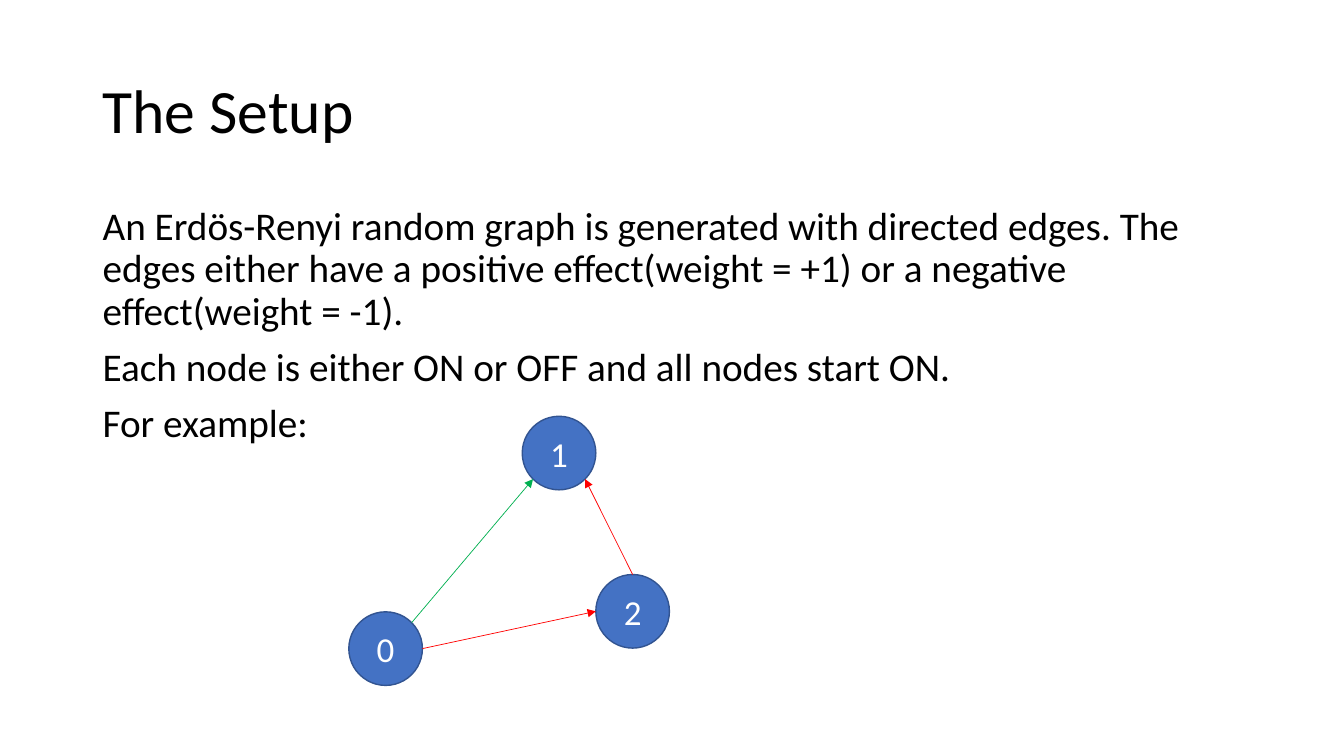
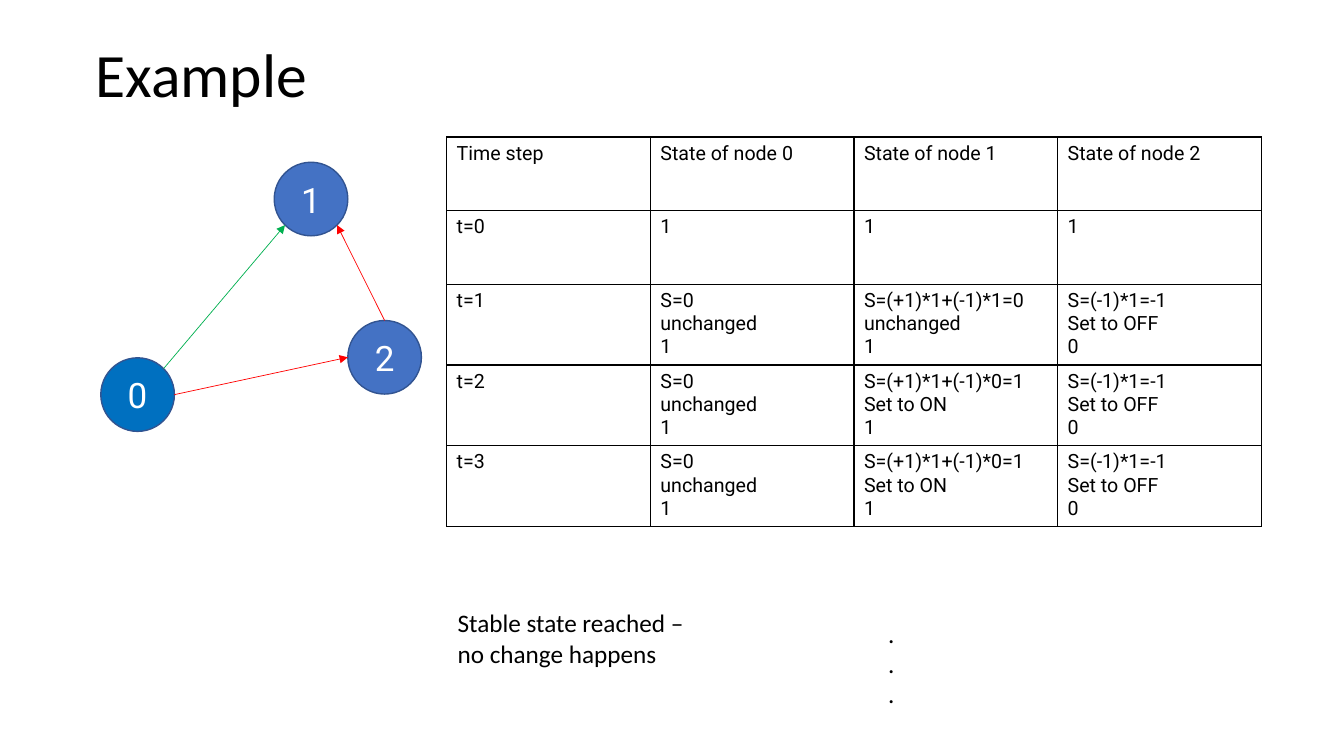
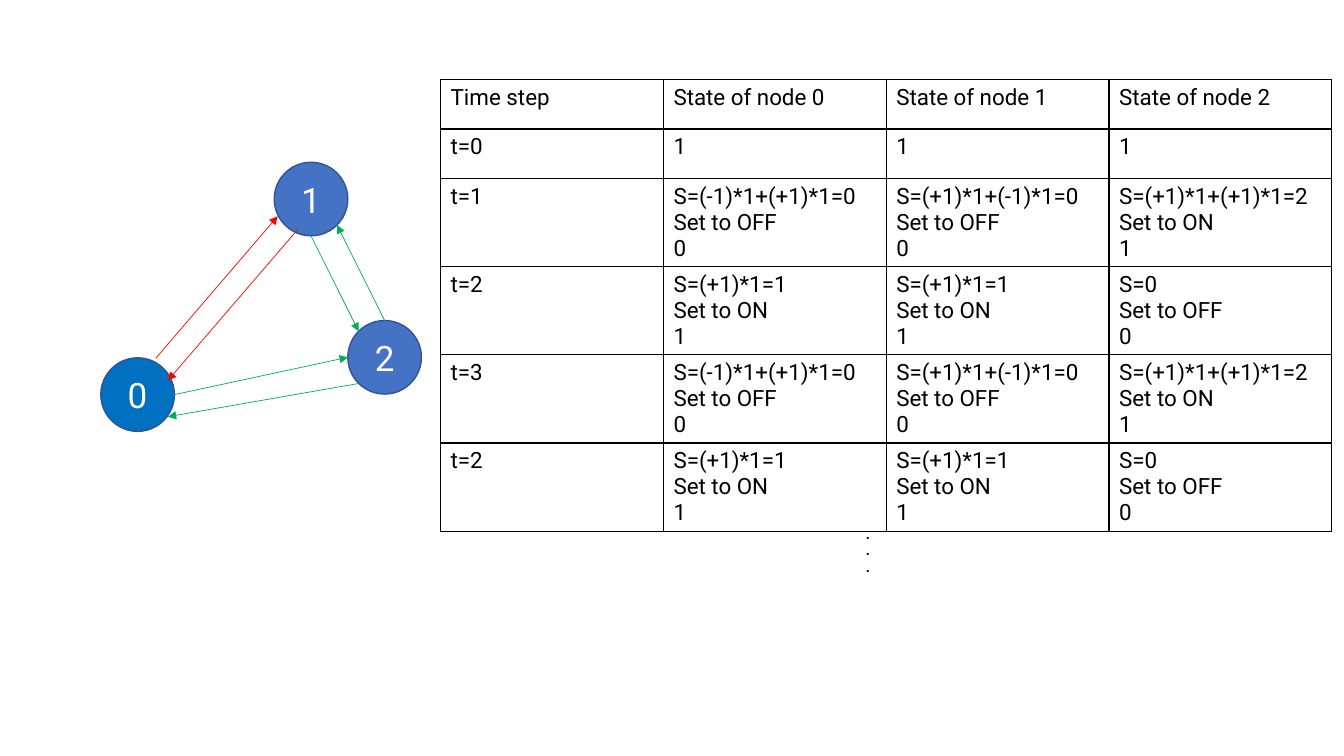
from pptx import Presentation
from pptx.dml.color import RGBColor
from pptx.enum.shapes import MSO_CONNECTOR as CONNECTOR, MSO_SHAPE as SHAPE
from pptx.enum.text import MSO_ANCHOR as ANCHOR, PP_ALIGN as ALIGN
from pptx.oxml import parse_xml
from pptx.oxml.ns import nsdecls
from pptx.util import Inches, Pt

BLACK, WHITE = "000000", "FFFFFF"
BLUE, BRIGHT_BLUE, OUTLINE = "4472C4", "0070C0", "325491"
POSITIVE, NEGATIVE = "00B050", "FF0000"

DIAMETER = 0.73
NODE_OFFSETS = [(0, 0), (1.72, -1.94), (2.45, -0.37)]

RADIUS = DIAMETER / 2
DIAGONAL = RADIUS * 0.5 ** 0.5
TOP, BOTTOM = (0, -RADIUS), (0, RADIUS)
LEFT, RIGHT = (-RADIUS, 0), (RADIUS, 0)
TOP_LEFT, TOP_RIGHT = (-DIAGONAL, -DIAGONAL), (DIAGONAL, -DIAGONAL)
BOTTOM_LEFT, BOTTOM_RIGHT = (-DIAGONAL, DIAGONAL), (DIAGONAL, DIAGONAL)

ONE_WAY_EDGES = [
    (POSITIVE, 0, TOP_RIGHT, 1, BOTTOM_LEFT),
    (NEGATIVE, 0, RIGHT, 2, LEFT),
    (NEGATIVE, 2, TOP, 1, BOTTOM_RIGHT),
]
TWO_WAY_EDGES = [
    (NEGATIVE, 0, (0.18, -0.36), 1, (-0.33, 0.17)),
    (POSITIVE, 0, RIGHT, 2, LEFT),
    (POSITIVE, 2, TOP, 1, BOTTOM_RIGHT),
    (NEGATIVE, 1, (-0.13, 0.3), 0, (0.3, -0.14)),
    (POSITIVE, 2, (-0.26, 0.26), 0, (0.3, 0.22)),
    (POSITIVE, 1, BOTTOM, 2, TOP_LEFT),
]

SETUP = [
    "An Erdös-Renyi random graph is generated with directed edges. The edges either "
    "have a positive effect(weight = +1) or a negative effect(weight = -1).",
    "Each node is either ON or OFF and all nodes start ON.",
    "For example:",
]

HEADER = ["Time step", "State of node 0", "State of node 1", "State of node 2"]
START = ["t=0", "1", "1", "1"]
SETTLED = ["S=0\nunchanged\n1", "S=(+1)*1+(-1)*0=1\nSet to ON\n1", "S=(-1)*1=-1\nSet to OFF\n0"]
STABLE_STEPS = [
    HEADER,
    START,
    ["t=1", "S=0\nunchanged\n1", "S=(+1)*1+(-1)*1=0\nunchanged\n1", "S=(-1)*1=-1\nSet to OFF\n0"],
    ["t=2", *SETTLED],
    ["t=3", *SETTLED],
]
ODD_STATES = ["S=(-1)*1+(+1)*1=0\nSet to OFF\n0", "S=(+1)*1+(-1)*1=0\nSet to OFF\n0",
              "S=(+1)*1+(+1)*1=2\nSet to ON\n1"]
EVEN_STATES = ["S=(+1)*1=1\nSet to ON\n1", "S=(+1)*1=1\nSet to ON\n1", "S=0\nSet to OFF\n0"]
CYCLE_STEPS = [
    HEADER,
    START,
    ["t=1", *ODD_STATES],
    ["t=2", *EVEN_STATES],
    ["t=3", *ODD_STATES],
    ["t=2", *EVEN_STATES],
]
ELLIPSIS = [".", ".", "."]


def rgb(value):
    return RGBColor.from_string(value)


def style(paragraph, size, font, colour=BLACK, bold=False):
    paragraph.font.size = Pt(size)
    paragraph.font.name = font
    paragraph.font.color.rgb = rgb(colour)
    paragraph.font.bold = bold


def add_text(slide, box, lines, size, font="Calibri", bold=False, spacing=None, before=0,
             anchor=ANCHOR.TOP):
    frame = slide.shapes.add_textbox(*map(Inches, box)).text_frame
    frame.word_wrap = True
    frame.vertical_anchor = anchor
    frame.text = "\n".join(lines)
    for paragraph in frame.paragraphs:
        style(paragraph, size, font, bold=bold)
        paragraph.line_spacing = spacing
        paragraph.space_before = Pt(before)


def add_title(slide, left, top, title):
    add_text(slide, (left, top, 11.5, 1.45), [title], 44, spacing=0.9, anchor=ANCHOR.MIDDLE)


def add_edge(slide, colour, start, end):
    edge = slide.shapes.add_connector(CONNECTOR.STRAIGHT, *map(Inches, start + end))
    edge.line.color.rgb = rgb(colour)
    edge.line.width = Pt(0.5)
    edge.line._get_or_add_ln().append(parse_xml(f'<a:tailEnd {nsdecls("a")} type="triangle"/>'))
    edge._element.spPr.append(parse_xml(f'<a:effectLst {nsdecls("a")}/>'))


def add_graph(slide, left, top, edges, font, first_fill=BLUE):
    centres = []
    for number, (dx, dy) in enumerate(NODE_OFFSETS):
        x, y = left + dx, top + dy
        centres.append((x + RADIUS, y + RADIUS))
        node = slide.shapes.add_shape(SHAPE.OVAL, *map(Inches, (x, y, DIAMETER, DIAMETER)))
        node.shadow.inherit = False
        node.fill.solid()
        node.fill.fore_color.rgb = rgb(BLUE if number else first_fill)
        node.line.color.rgb = rgb(OUTLINE)
        node.line.width = Pt(1)
        frame = node.text_frame
        frame.margin_left = frame.margin_right = frame.margin_top = frame.margin_bottom = 0
        frame.vertical_anchor = ANCHOR.MIDDLE
        frame.text = str(number)
        frame.paragraphs[0].alignment = ALIGN.CENTER
        style(frame.paragraphs[0], 25, font, WHITE)
    for colour, source, source_port, target, target_port in edges:
        start, end = (
            (centres[index][0] + port[0], centres[index][1] + port[1])
            for index, port in ((source, source_port), (target, target_port))
        )
        add_edge(slide, colour, start, end)


def add_borders(cell):
    properties = cell._tc.get_or_add_tcPr()
    for position, side in enumerate("LRTB"):
        properties.insert(position, parse_xml(
            f'<a:ln{side} {nsdecls("a")} w="12700"><a:solidFill>'
            f'<a:srgbClr val="{BLACK}"/></a:solidFill></a:ln{side}>'))


def add_steps(slide, left, top, column_width, row_heights, steps, size):
    columns = len(HEADER)
    table = slide.shapes.add_table(
        len(steps), columns, Inches(left), Inches(top),
        Inches(column_width * columns), Inches(sum(row_heights))).table
    table.first_row = table.horz_banding = False
    for column in table.columns:
        column.width = Inches(column_width)
    for row, height, texts in zip(table.rows, row_heights, steps):
        row.height = Inches(height)
        for cell, text in zip(row.cells, texts):
            cell.text = text
            cell.fill.background()
            add_borders(cell)
            for paragraph in cell.text_frame.paragraphs:
                style(paragraph, size, "Roboto")


def main():
    deck = Presentation()
    deck.slide_width, deck.slide_height = Inches(13.33), Inches(7.5)
    setup, stable, cycle = (deck.slides.add_slide(deck.slide_layouts[6]) for _ in range(3))

    add_title(setup, 0.92, 0.4, "The Setup")
    add_text(setup, (0.92, 2, 11.5, 4.76), SETUP, 28, spacing=0.9, before=10)
    add_graph(setup, 3.46, 6.07, ONE_WAY_EDGES, "Calibri")

    add_title(stable, 0.85, 0.04, "Example")
    add_graph(stable, 1, 3.55, ONE_WAY_EDGES, "Roboto", BRIGHT_BLUE)
    add_steps(stable, 4.43, 1.36, 2.02, [0.73] * 5, STABLE_STEPS, 14)
    add_text(stable, (8.71, 6.08, 0.95, 1.01), ELLIPSIS, 18)
    add_text(stable, (4.44, 5.98, 2.66, 0.71), ["Stable state reached – no change happens"], 18)

    add_graph(cycle, 1, 3.55, TWO_WAY_EDGES, "Roboto", BRIGHT_BLUE)
    add_steps(cycle, 4.37, 0.79, 2.21, [0.49, 0.49, 0.79, 0.61, 0.79, 0.61], CYCLE_STEPS, 16)
    add_text(cycle, (8.49, 5.16, 0.88, 0.61), ELLIPSIS, 10, "Roboto", bold=True)

    deck.save("out.pptx")


if __name__ == "__main__":
    main()
